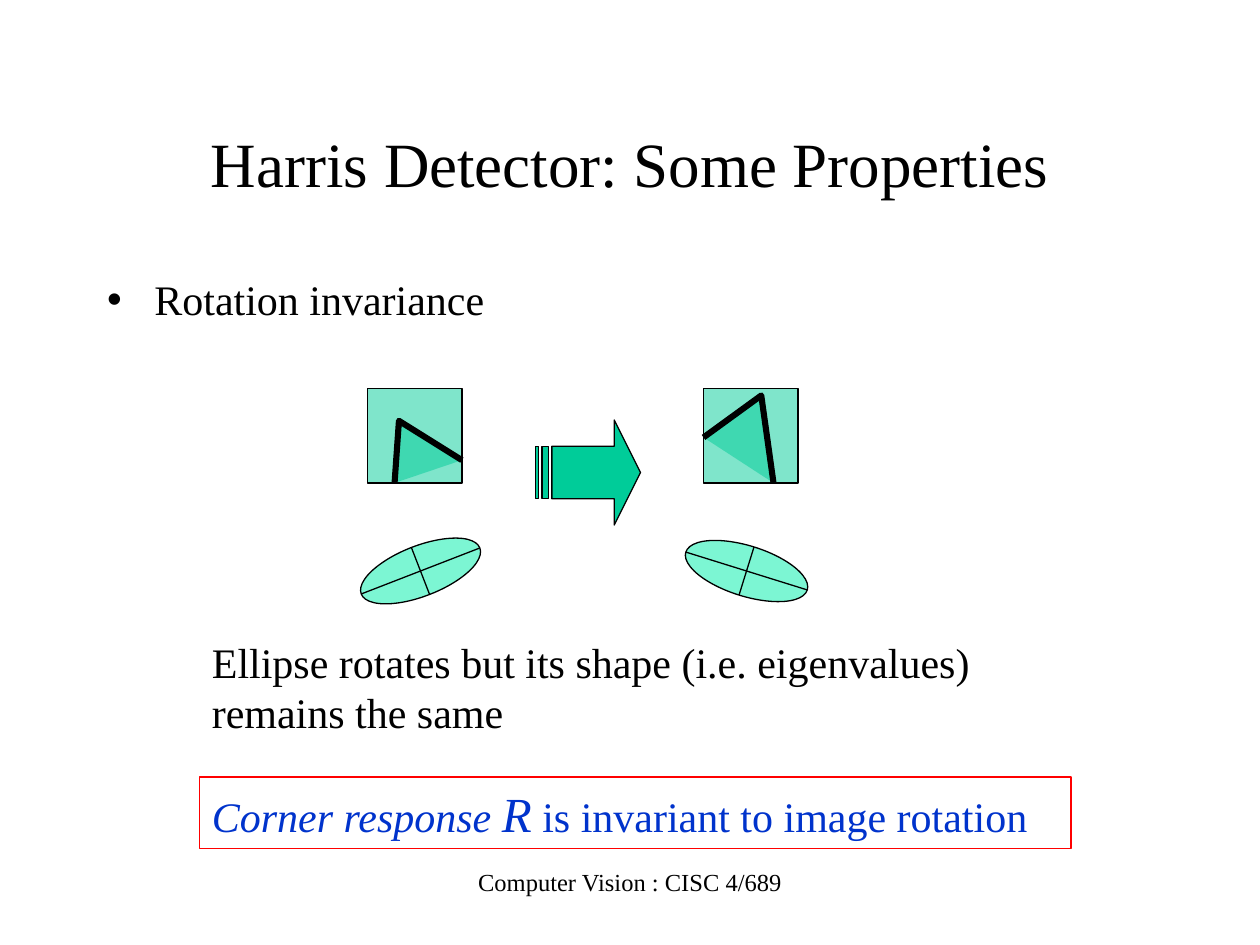
import math
from dataclasses import dataclass

import lxml.etree
import pptx
import pptx.dml.color
import pptx.enum.shapes
import pptx.enum.text
import pptx.oxml.ns
import pptx.util

Pt = pptx.util.Pt
Shape = pptx.enum.shapes.MSO_SHAPE
Anchor = pptx.enum.text.MSO_ANCHOR
Align = pptx.enum.text.PP_ALIGN


@dataclass(frozen=True)
class Theme:
    font: str = "Times New Roman"
    ink: str = "000000"
    green: str = "00CC99"
    mint: str = "7CF6D3"
    blue: str = "0033CC"
    red: str = "FF0000"
    title: float = 36
    body: float = 24
    symbol: float = 28
    footer: float = 14
    thin: float = 0.75
    thick: float = 3.5


THEME = Theme()

TITLE = ("Harris Detector: Some Properties", (54, 48, 612, 90))
BULLET = ("Rotation invariance", (54, 156, 612, 42))
NOTE = ("Ellipse rotates but its shape (i.e. eigenvalues) remains the same", (114, 360, 450, 65))
FOOTER = ("Computer Vision : CISC 4/689", (246, 492, 228, 36))
RESULT = [
    ("Corner response ", THEME.body, True),
    ("R", THEME.symbol, True),
    (" is invariant to image rotation", THEME.body, False),
]
RESULT_BOX = (114, 444, 498, 41)
ARROW_BOX = (306, 240, 60, 60)

WINDOW_TOP, WINDOW_SIZE = 222, 54
WINDOWS = [
    (210, [(15.5, 54), (18, 18.5), (54, 41)]),
    (402, [(0, 28), (33, 4), (40, 54)]),
]
ELLIPSE_Y, ELLIPSE_WIDTH, ELLIPSE_HEIGHT = 326.3, 72.7, 28.8
ELLIPSES = [(240.3, -21.2), (426.6, 17.3)]


def color(value):
    return pptx.dml.color.RGBColor.from_string(value)


def points(*values):
    return [Pt(value) for value in values]


def add_element(parent, tag, **attributes):
    return lxml.etree.SubElement(parent, pptx.oxml.ns.qn(tag), attributes)


def set_font(font, size, ink=THEME.ink):
    font.name = THEME.font
    font.size = Pt(size)
    font.color.rgb = color(ink)


def style(shape, fill, line=THEME.ink, width=THEME.thin, alpha=None):
    shape.shadow.inherit = False
    if fill:
        shape.fill.solid()
        shape.fill.fore_color.rgb = color(fill)
    else:
        shape.fill.background()
    if alpha:
        tint = shape.fill._xPr.find(".//" + pptx.oxml.ns.qn("a:srgbClr"))
        add_element(tint, "a:alpha", val=str(alpha * 1000))
    shape.line.color.rgb = color(line)
    shape.line.width = Pt(width)


def fill_placeholder(shape, content, size, anchor, align):
    text, box = content
    shape.left, shape.top, shape.width, shape.height = points(*box)
    frame = shape.text_frame
    frame.text = text
    frame.auto_size = pptx.enum.text.MSO_AUTO_SIZE.NONE
    frame.vertical_anchor = anchor
    paragraph = frame.paragraphs[0]
    paragraph.alignment = align
    paragraph.space_before = Pt(0)
    return paragraph


def add_text(slide, content, size, align):
    text, box = content
    frame = slide.shapes.add_textbox(*points(*box)).text_frame
    frame.word_wrap = True
    frame.text = text
    paragraph = frame.paragraphs[0]
    paragraph.alignment = align
    set_font(paragraph.font, size)


def add_window(slide, left, corner):
    shapes = slide.shapes.add_group_shape().shapes
    window = shapes.add_shape(
        Shape.RECTANGLE, *points(left, WINDOW_TOP, WINDOW_SIZE, WINDOW_SIZE))
    style(window, THEME.green, alpha=50)
    vertices = [points(left + x, WINDOW_TOP + y) for x, y in corner]
    builder = shapes.build_freeform(*vertices[0])
    builder.add_line_segments(vertices[1:], close=False)
    style(builder.convert_to_shape(), THEME.green, width=THEME.thick, alpha=50)


def add_ellipse(slide, center_x, angle):
    shapes = slide.shapes.add_group_shape().shapes
    ellipse = shapes.add_shape(Shape.OVAL, *points(
        center_x - ELLIPSE_WIDTH / 2, ELLIPSE_Y - ELLIPSE_HEIGHT / 2,
        ELLIPSE_WIDTH, ELLIPSE_HEIGHT))
    ellipse.rotation = angle
    style(ellipse, THEME.mint)
    for length, turn in ((ELLIPSE_WIDTH, 0), (ELLIPSE_HEIGHT, 90)):
        direction = math.radians(angle + turn)
        dx = length / 2 * math.cos(direction)
        dy = length / 2 * math.sin(direction)
        axis = shapes.add_connector(
            pptx.enum.shapes.MSO_CONNECTOR.STRAIGHT,
            *points(center_x - dx, ELLIPSE_Y - dy, center_x + dx, ELLIPSE_Y + dy))
        axis.line.color.rgb = color(THEME.ink)
        axis.line.width = Pt(THEME.thin)
        add_element(axis._element.spPr, "a:effectLst")


def add_result(slide):
    shape = slide.shapes.add_shape(Shape.RECTANGLE, *points(*RESULT_BOX))
    style(shape, None, line=THEME.red)
    frame = shape.text_frame
    frame.word_wrap = True
    frame.vertical_anchor = Anchor.MIDDLE
    paragraph = frame.paragraphs[0]
    paragraph.alignment = Align.LEFT
    for text, size, italic in RESULT:
        run = paragraph.add_run()
        run.text = text
        run.font.italic = italic
        set_font(run.font, size, THEME.blue)


def main():
    presentation = pptx.Presentation()
    presentation.slide_width, presentation.slide_height = points(720, 540)
    slide = presentation.slides.add_slide(presentation.slide_layouts[1])

    title = fill_placeholder(
        slide.shapes.title, TITLE, THEME.title, Anchor.MIDDLE, Align.CENTER)
    set_font(title.font, THEME.title)

    bullet = fill_placeholder(
        slide.placeholders[1], BULLET, THEME.body, Anchor.TOP, Align.LEFT)
    bullet.line_spacing = 0.9
    properties = bullet._p.get_or_add_pPr()
    properties.set("marL", str(Pt(27)))
    properties.set("indent", str(-Pt(27)))
    add_element(properties, "a:buChar", char="•")
    set_font(bullet.font, THEME.body)

    for left, corner in WINDOWS:
        add_window(slide, left, corner)
    arrow = slide.shapes.add_shape(Shape.STRIPED_RIGHT_ARROW, *points(*ARROW_BOX))
    arrow.adjustments[0], arrow.adjustments[1] = 0.5, 0.25
    style(arrow, THEME.green)
    for center_x, angle in ELLIPSES:
        add_ellipse(slide, center_x, angle)

    add_text(slide, NOTE, THEME.body, Align.LEFT)
    add_result(slide)
    add_text(slide, FOOTER, THEME.footer, Align.CENTER)
    presentation.save("out.pptx")


if __name__ == "__main__":
    main()
